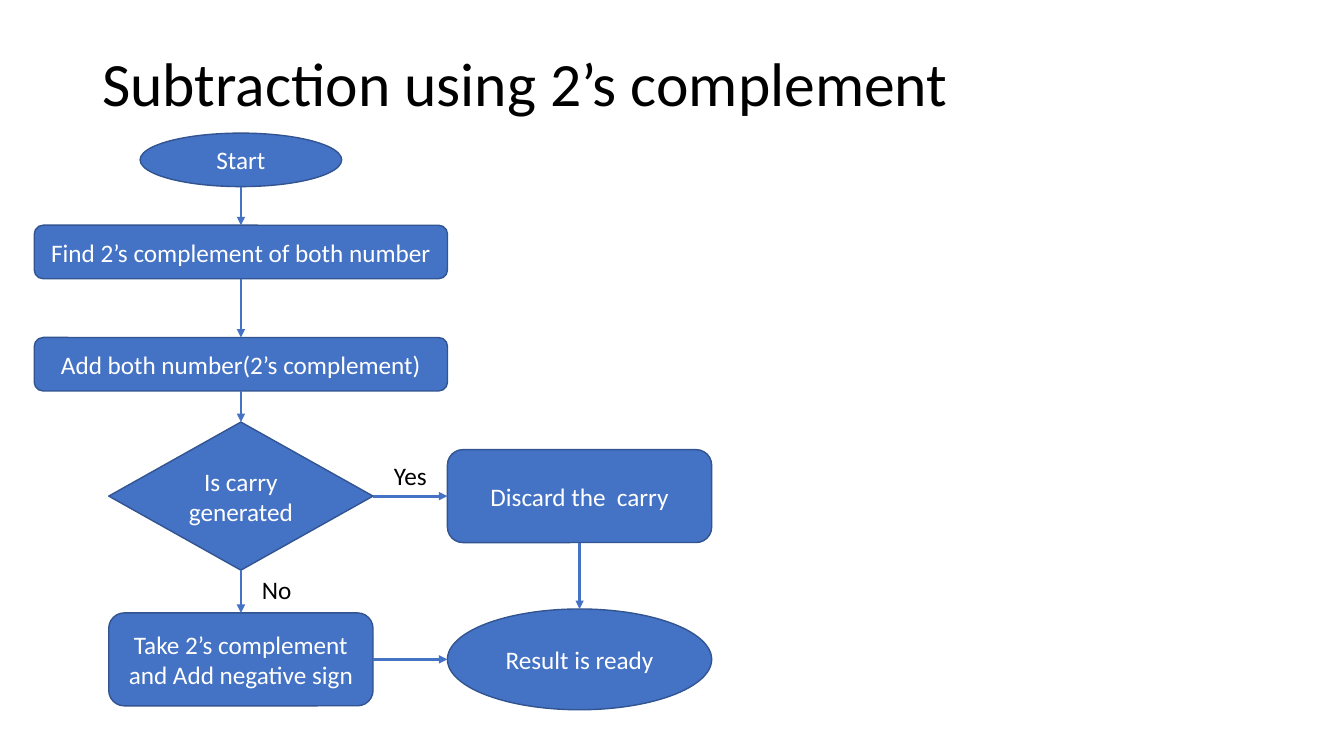
from lxml import etree
from pptx import Presentation
from pptx.dml.color import RGBColor
from pptx.enum import shapes, text
from pptx.oxml.ns import qn
from pptx.util import Pt

BLUE = RGBColor(0x44, 0x72, 0xC4)
OUTLINE = RGBColor(0x32, 0x54, 0x91)
WHITE = RGBColor(0xFF, 0xFF, 0xFF)
BLACK = RGBColor(0, 0, 0)
OVAL = shapes.MSO_SHAPE.OVAL
ROUNDED = shapes.MSO_SHAPE.ROUNDED_RECTANGLE
DIAMOND = shapes.MSO_SHAPE.DIAMOND
TOP, LEFT, BOTTOM, RIGHT = range(4)
LEFT_COLUMN, RIGHT_COLUMN = 172.1, 414


def write(box, wording, size, color, align):
    para = box.text_frame.paragraphs[0]
    para.alignment = align
    span = para.add_run()
    span.text = wording
    for name, value in {"name": "Calibri", "size": Pt(size)}.items():
        setattr(span.font, name, value)
    span.font.color.rgb = color
    return para


def side_middle(shape, side):
    """Return the x and y of the middle of one side of a shape."""
    across = {LEFT: 0, RIGHT: shape.width}.get(side, shape.width // 2)
    down = {TOP: 0, BOTTOM: shape.height}.get(side, shape.height // 2)
    return shape.left + across, shape.top + down


deck = Presentation()
deck.slide_width, deck.slide_height = Pt(960), Pt(540)
page = deck.slides.add_slide(deck.slide_layouts[6])

title = page.shapes.add_textbox(Pt(66), Pt(28.8), Pt(828), Pt(66.2))
title.text_frame.word_wrap = True
title.text_frame.vertical_anchor = text.MSO_ANCHOR.MIDDLE
heading = write(title, "Subtraction using 2’s complement", 44, BLACK, text.PP_ALIGN.LEFT)
heading.line_spacing = 0.9

# Each step: kind, centre x, centre y, width, height, wording
steps = {
    "start": (OVAL, LEFT_COLUMN, 114.2, 144, 38.2, "Start"),
    "find": (ROUNDED, LEFT_COLUMN, 180, 295.2, 38.2, "Find 2’s complement of both number"),
    "add": (ROUNDED, LEFT_COLUMN, 260.2, 295.2, 38.2, "Add both number(2’s complement)"),
    "carry": (DIAMOND, LEFT_COLUMN, 354.4, 188.8, 105.8, "Is carry generated"),
    "discard": (ROUNDED, RIGHT_COLUMN, 354.4, 188.8, 66.4, "Discard the  carry"),
    "negate": (ROUNDED, LEFT_COLUMN, 471, 188.8, 66.4, "Take 2’s complement and Add negative sign"),
    "result": (OVAL, RIGHT_COLUMN, 471, 188.8, 72, "Result is ready"),
}
boxes = {}
for step, (kind, x, y, width, height, wording) in steps.items():
    box = page.shapes.add_shape(kind, Pt(x - width / 2), Pt(y - height / 2), Pt(width), Pt(height))
    box.shadow.inherit = False
    box.fill.solid()
    box.fill.fore_color.rgb = BLUE
    box.line.color.rgb = OUTLINE
    box.line.width = Pt(1)
    box.text_frame.word_wrap = True
    box.text_frame.vertical_anchor = text.MSO_ANCHOR.MIDDLE
    write(box, wording, 18, WHITE, text.PP_ALIGN.CENTER)
    boxes[step] = box

arrows = [
    ("start", BOTTOM, "find", TOP),
    ("find", BOTTOM, "add", TOP),
    ("add", BOTTOM, "carry", TOP),
    ("carry", RIGHT, "discard", LEFT),
    ("carry", BOTTOM, "negate", TOP),
    ("negate", RIGHT, "result", LEFT),
    ("discard", BOTTOM, "result", TOP),
]
for source, source_side, target, target_side in arrows:
    begin, end = boxes[source], boxes[target]
    arrow = page.shapes.add_connector(
        shapes.MSO_CONNECTOR.STRAIGHT, *side_middle(begin, source_side), *side_middle(end, target_side))
    # An oval numbers its eight joints differently; only its top matches
    if steps[source][0] != OVAL:
        arrow.begin_connect(begin, source_side)
    if steps[target][0] != OVAL or target_side == TOP:
        arrow.end_connect(end, target_side)
    arrow.line.color.rgb = BLUE
    arrow.line.width = Pt(2)
    etree.SubElement(arrow.line._get_or_add_ln(), qn("a:tailEnd"), type="triangle")
    etree.SubElement(arrow._element.spPr, qn("a:effectLst"))

for wording, x, y, width in [("Yes", 274.3, 325.4, 38.2), ("No", 180, 406.8, 36)]:
    label = page.shapes.add_textbox(Pt(x), Pt(y), Pt(width), Pt(29))
    label.text_frame.word_wrap = False
    label.text_frame.auto_size = text.MSO_AUTO_SIZE.SHAPE_TO_FIT_TEXT
    write(label, wording, 18, BLACK, text.PP_ALIGN.LEFT)

deck.save("out.pptx")
